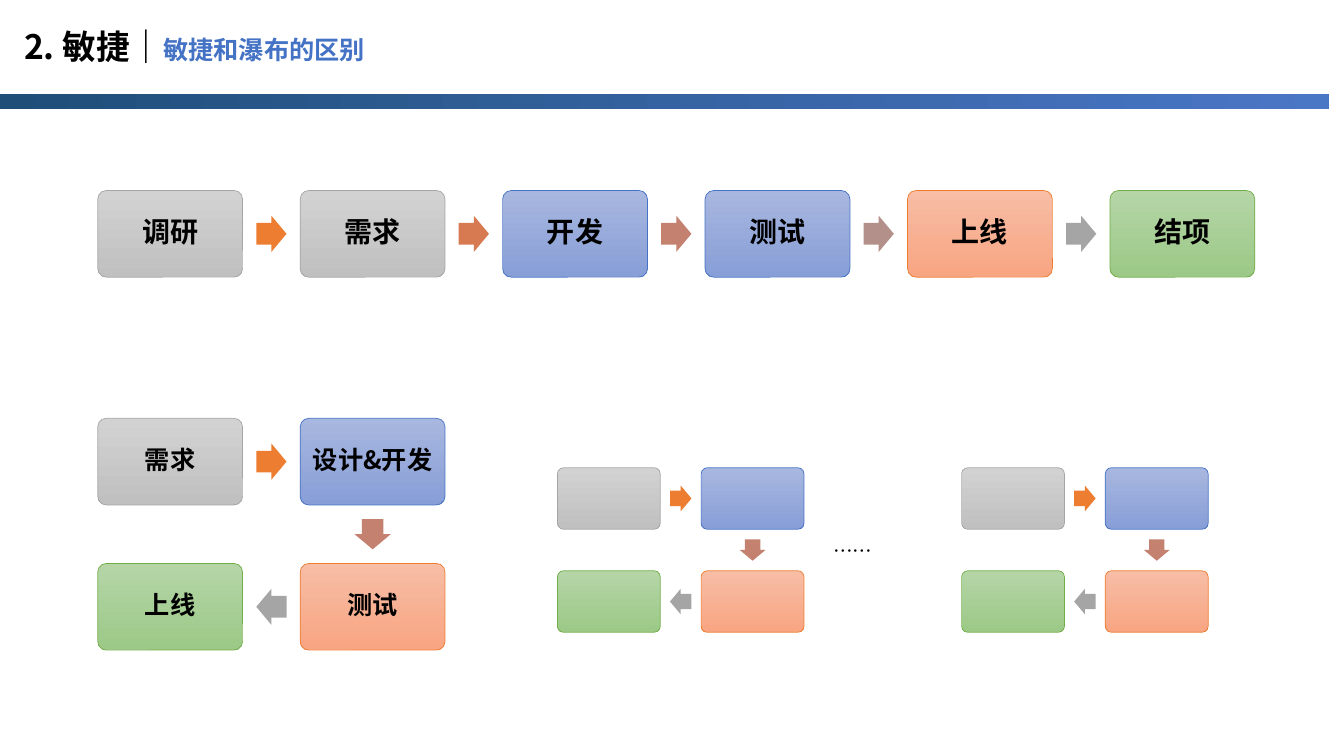
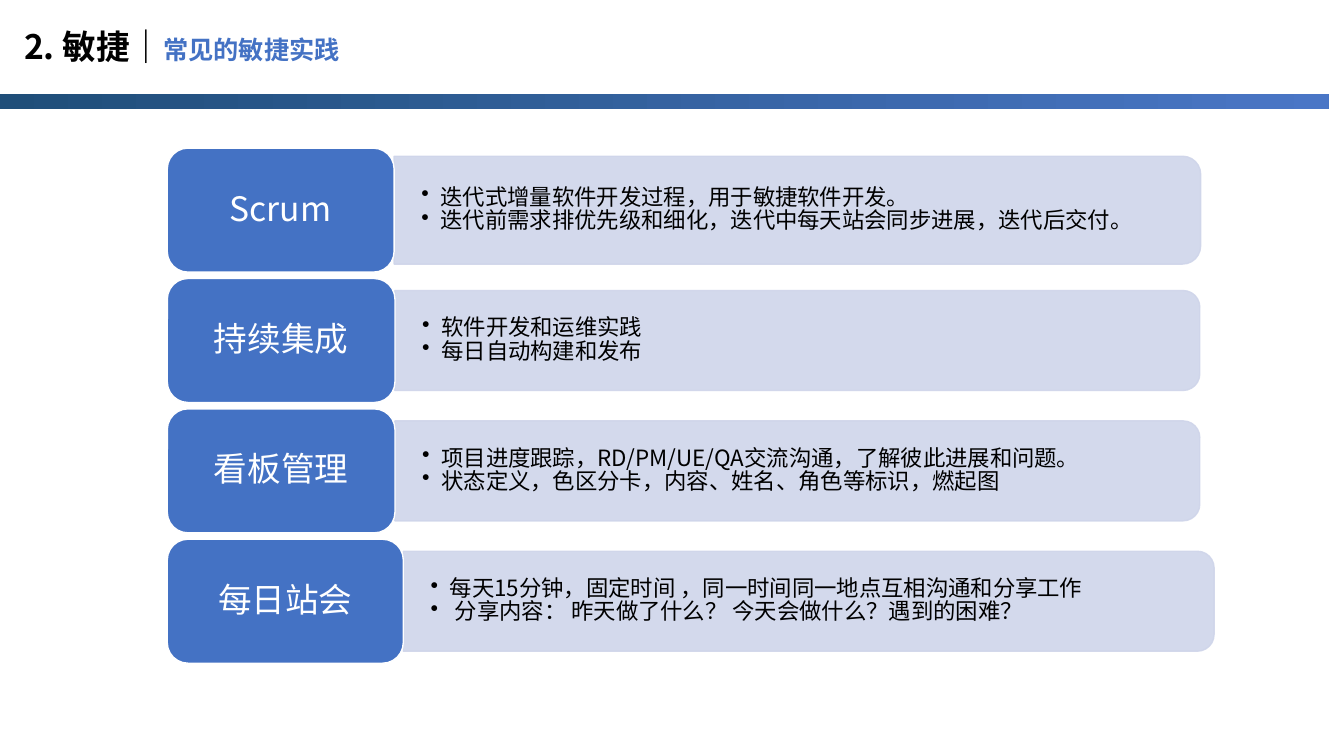
import lxml.etree
import pptx
import pptx.dml.color
import pptx.enum.shapes
import pptx.enum.text
import pptx.oxml.ns
import pptx.util

SHAPE = pptx.enum.shapes.MSO_SHAPE
ALIGN = pptx.enum.text.PP_ALIGN
FONT = "Noto Sans CJK SC"
COLORS = {
    "ink": "000000", "white": "FFFFFF", "blue": "4472C4", "panel": "CFD5EA",
    "orange": "ED7D31", "coral": "D87A51", "rose": "C48170", "mauve": "B4908B", "gray": "A5A5A5",
    "green": "70AD47", "band start": "1F4E79", "band end": "4A76C6",
}
GRADIENTS = {
    "gray": ("D2D2D2", "C0C0C0"), "blue": ("A8B7DF", "889ED7"),
    "orange": ("F7BDA5", "F8A582"), "green": ("B5D5A7", "9CC987"),
}
COLUMNS, ROWS = 160, 90
STEP_WIDTH, STEP_HEIGHT = 17.25, 10.32
STEP_PITCH, CYCLE_PITCH = 24.1, 17.28
ARROW_WIDTH, ARROW_HEIGHT = 3.6, 4.3

WATERFALL = [
    ("调研", "gray", "orange"), ("需求", "gray", "coral"), ("开发", "blue", "rose"),
    ("测试", "blue", "mauve"), ("上线", "orange", "gray"), ("结项", "green", None),
]
CYCLE = [
    ("需求", "gray", 0, 0), ("设计&开发", "blue", 1, 0),
    ("测试", "orange", 1, 1), ("上线", "green", 0, 1),
]
CYCLE_ARROWS = [("orange", 0.5, 0, 0), ("rose", 1, 0.5, 90), ("gray", 0.5, 1, 180)]
PRACTICES = [
    ("Scrum", 27, 96, 12.84, ["迭代式增量软件开发过程，用于敏捷软件开发。",
                              "迭代前需求排优先级和细化，迭代中每天站会同步进展，迭代后交付。"]),
    ("持续集成", 27.1, 95.8, 11.9, ["软件开发和运维实践", "每日自动构建和发布"]),
    ("看板管理", 27.1, 95.8, 11.9, ["项目进度跟踪，RD/PM/UE/QA交流沟通，了解彼此进展和问题。",
                                "状态定义，色区分卡，内容、姓名、角色等标识，燃起图"]),
    ("每日站会", 28.1, 96.5, 11.9, ["每天15分钟，固定时间 ，同一时间同一地点互相沟通和分享工作",
                                " 分享内容： 昨天做了什么？ 今天会做什么？遇到的困难？"]),
]


def rgb(value):
    """Return the colour for a hex string."""
    return pptx.dml.color.RGBColor.from_string(value)


class Painter:
    """Hold the style and the current page, measured in grid columns and rows."""

    def __init__(self):
        """Open a wide deck."""
        self.deck = pptx.Presentation()
        self.deck.slide_width = pptx.util.Inches(13.33)
        self.deck.slide_height = pptx.util.Inches(7.5)
        self.page = None

    def place(self, left, top, width, height):
        """Turn grid cells into slide lengths."""
        column, row = self.deck.slide_width / COLUMNS, self.deck.slide_height / ROWS
        return [round(size) for size in (left * column, top * row, width * column, height * row)]

    def start(self, subtitle):
        """Begin a page with the shared band and title."""
        self.page = self.deck.slides.add_slide(self.deck.slide_layouts[6])
        band = self.shape(SHAPE.RECTANGLE, 0, 11.16, 158.16, 1.8)
        self.gradient(band, (COLORS["band start"], COLORS["band end"]), 0)
        box = self.text_box(1.68, 0.36, 156.48, 10.8)
        para = self.add_text(box, ["2. 敏捷｜"], 24, bold=True)[0]
        span = para.add_run()
        span.text = subtitle
        span.font.size = pptx.util.Pt(18)
        span.font.color.rgb = rgb(COLORS["blue"])

    def shape(self, kind, left, top, width, height, fill=None, line=None, weight=0.5, adjust=()):
        """Add a flat preset shape."""
        shape = self.page.shapes.add_shape(kind, *self.place(left, top, width, height))
        shape.shadow.inherit = False
        for index, value in enumerate(adjust):
            shape.adjustments[index] = value
        if fill:
            shape.fill.solid()
            shape.fill.fore_color.rgb = rgb(COLORS[fill])
        if line:
            shape.line.color.rgb = rgb(COLORS[line])
            shape.line.width = pptx.util.Pt(weight)
        else:
            shape.line.fill.background()
        return shape

    def gradient(self, shape, stops, angle):
        """Fill a shape with a two-stop gradient."""
        shape.fill.gradient()
        shape.fill.gradient_angle = angle
        for stop, value in zip(shape.fill.gradient_stops, stops):
            stop.color.rgb = rgb(value)

    def text_box(self, left, top, width, height):
        """Add an empty text box."""
        return self.page.shapes.add_textbox(*self.place(left, top, width, height))

    def add_text(self, box, lines, size, color="ink", bold=False, align=ALIGN.LEFT,
                 inset=(0.1, 0.05), spacing=0.9, bullet=False):
        """Put styled paragraphs into a box and return them."""
        frame = box.text_frame
        frame.word_wrap = True
        frame.vertical_anchor = pptx.enum.text.MSO_ANCHOR.MIDDLE
        frame.margin_left = frame.margin_right = pptx.util.Inches(inset[0])
        frame.margin_top = frame.margin_bottom = pptx.util.Inches(inset[1])
        frame.text = "\n".join(lines)
        for para in frame.paragraphs:
            para.alignment = align
            para.line_spacing = spacing
            if bullet:
                self.bullet(para)
            para.font.size = pptx.util.Pt(size)
            para.font.bold = bold
            para.font.color.rgb = rgb(COLORS[color])
            para.font.name = FONT
            style = para._p.pPr.find(pptx.oxml.ns.qn("a:defRPr"))
            lxml.etree.SubElement(style, pptx.oxml.ns.qn("a:ea"), typeface=FONT)
        return frame.paragraphs

    def bullet(self, para):
        """Give a paragraph a hanging bullet."""
        settings = para._p.get_or_add_pPr()
        indent = pptx.util.Inches(0.19)
        settings.set("marL", str(indent))
        settings.set("indent", str(-indent))
        lxml.etree.SubElement(settings, pptx.oxml.ns.qn("a:buChar"), char="•")

    def step(self, left, top, color, label=None, size=18, scale=1):
        """Add one rounded process step."""
        step = self.shape(SHAPE.ROUNDED_RECTANGLE, left, top, STEP_WIDTH * scale,
                          STEP_HEIGHT * scale, line=color, adjust=[0.1])
        self.gradient(step, GRADIENTS[color], 270)
        if label:
            self.add_text(step, [label], size, bold=True, align=ALIGN.CENTER, inset=(0.07, 0.07))

    def arrow(self, center, middle, color, turn=0, scale=1):
        """Add a block arrow around a centre point."""
        width, height = ARROW_WIDTH * scale, ARROW_HEIGHT * scale
        arrow = self.shape(SHAPE.RIGHT_ARROW, center - width / 2, middle - height / 2,
                           width, height, color, adjust=[0.6, 0.5])
        arrow.rotation = turn

    def waterfall(self, left, top):
        """Draw the steps in one line."""
        for index, (label, color, arrow_color) in enumerate(WATERFALL):
            start = left + index * STEP_PITCH
            self.step(start, top, color, label, 20)
            if arrow_color:
                self.arrow(start + (STEP_WIDTH + STEP_PITCH) / 2, top + STEP_HEIGHT / 2, arrow_color)

    def cycle(self, left, top, scale=1, labelled=False):
        """Draw four steps turning clockwise."""
        across, down = STEP_PITCH * scale, CYCLE_PITCH * scale
        for label, color, column, row in CYCLE:
            self.step(left + column * across, top + row * down, color,
                      label if labelled else None, scale=scale)
        for color, column, row, turn in CYCLE_ARROWS:
            self.arrow(left + STEP_WIDTH * scale / 2 + column * across,
                       top + STEP_HEIGHT * scale / 2 + row * down, color, turn, scale)

    def panel(self, left, middle, width, height, lines):
        """Add a translucent panel, rounded on the right, with bullets."""
        top = middle - height / 2
        panel = self.shape(SHAPE.ROUND_2_SAME_RECTANGLE, left + (width - height) / 2,
                           middle - width / 2, height, width, "panel", "panel", 1)
        panel.rotation = 90
        for color in panel._element.spPr.iter(pptx.oxml.ns.qn("a:srgbClr")):
            lxml.etree.SubElement(color, pptx.oxml.ns.qn("a:alpha"), val="90000")
        box = self.text_box(left, top, width, height)
        self.add_text(box, lines, 16, inset=(0.27, 0.14), spacing=0.86, bullet=True)

    def practices(self, left, top, pitch, tile_height):
        """Stack the named tiles with their panels."""
        for index, (name, tile_width, width, height, lines) in enumerate(PRACTICES):
            tile_top = top + index * pitch
            self.panel(left + tile_width, tile_top + tile_height / 2, width, height, lines)
            tile = self.shape(SHAPE.ROUNDED_RECTANGLE, left, tile_top, tile_width, tile_height,
                              "blue", "white", 1)
            self.add_text(tile, [name], 24, "white", align=ALIGN.CENTER)


def main():
    """Build and save the deck."""
    painter = Painter()
    painter.start("敏捷和瀑布的区别")
    painter.waterfall(11.64, 22.68)
    painter.cycle(11.64, 49.8, labelled=True)
    for left in (66.36, 114.48):
        painter.cycle(left, 55.68, 0.71)
    painter.add_text(painter.text_box(98, 63.5, 14.3, 4.1), ["……"], 14, spacing=1.0)

    painter.start("常见的敏捷实践")
    painter.practices(19.92, 17.64, 15.52, 14.76)
    painter.deck.save("out.pptx")


if __name__ == "__main__":
    main()
